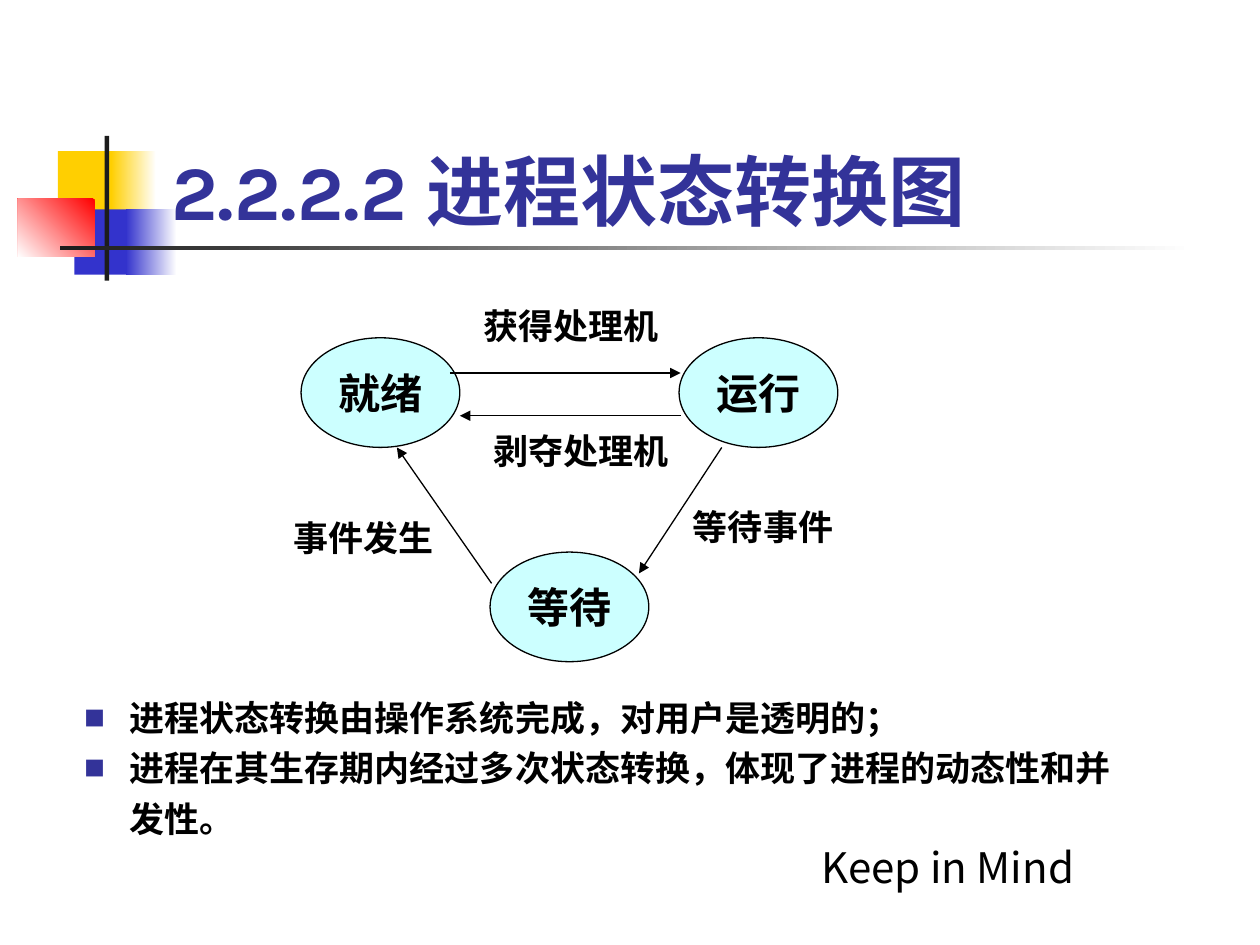
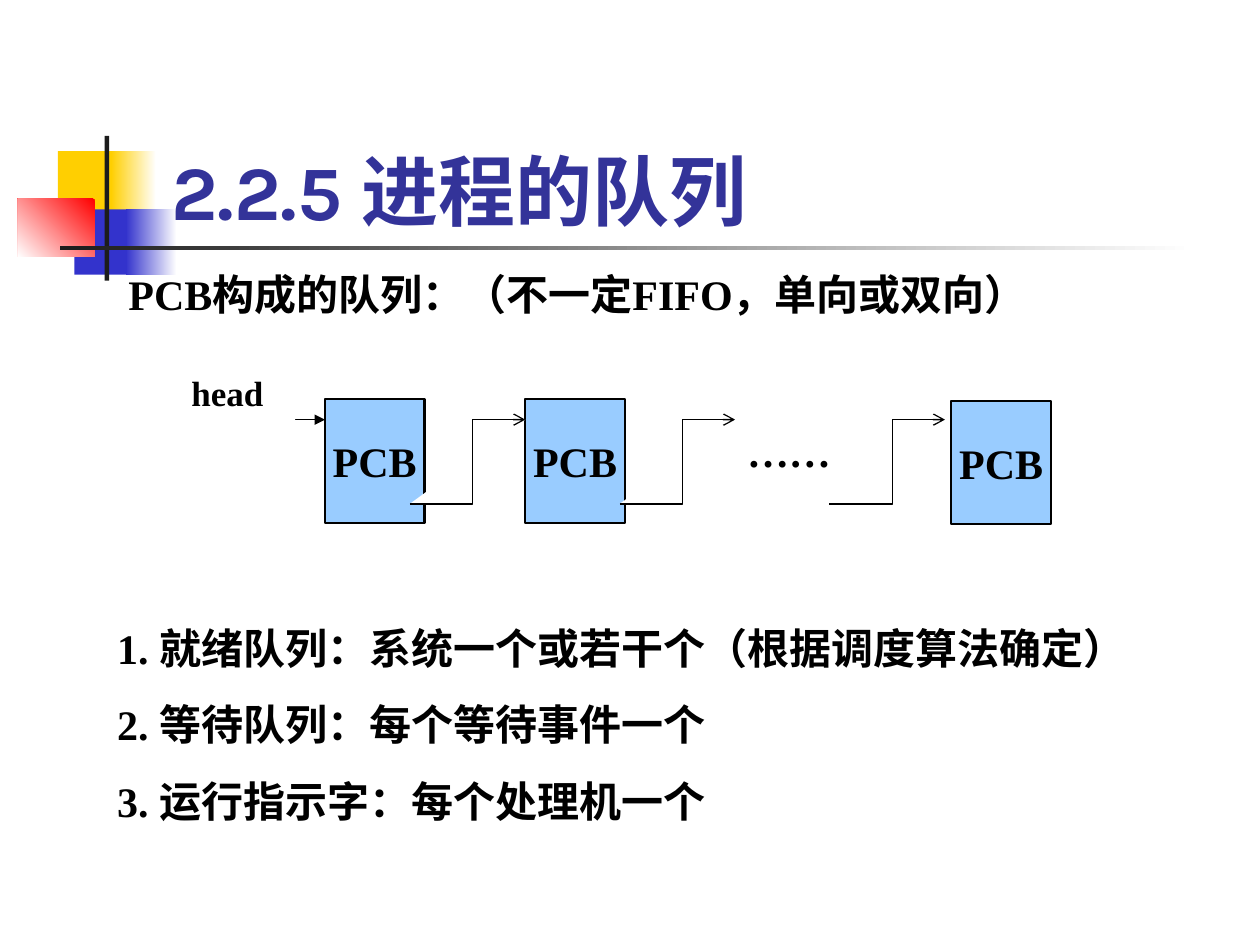
"""Build two slides on process states and process queues."""
from dataclasses import dataclass
from typing import Optional

import pptx
import pptx.dml.color
import pptx.enum.shapes
import pptx.enum.text
import pptx.oxml
import pptx.oxml.ns
import pptx.util

Cm = pptx.util.Cm
Pt = pptx.util.Pt
RGB = pptx.dml.color.RGBColor.from_string
Shape = pptx.enum.shapes.MSO_SHAPE
Align = pptx.enum.text.PP_ALIGN
Anchor = pptx.enum.text.MSO_ANCHOR
NAMESPACE = pptx.oxml.ns.nsdecls("a")


@dataclass(frozen=True)
class Theme:
    """Colours, fonts and type sizes of the deck."""
    ink: str = "000000"
    paper: str = "FFFFFF"
    title: str = "333399"
    yellow: str = "FFCF01"
    blue: str = "3333CC"
    red: str = "FF0000"
    rule: str = "1C1C1C"
    state: str = "CCFFFF"
    pcb: str = "99CCFF"
    title_font: str = "Karla"
    text_font: str = "Times New Roman"
    cjk_font: str = "Noto Sans CJK SC"
    title_size: int = 44
    body_size: int = 24
    label_size: int = 20
    thin: float = 0.75
    thick: float = 1.25


THEME = Theme()


@dataclass(frozen=True)
class Box:
    """A rectangle in centimetres."""
    left: float
    top: float
    width: float
    height: float

    def lengths(self) -> tuple:
        """Return the four sides as lengths."""
        return Cm(self.left), Cm(self.top), Cm(self.width), Cm(self.height)


@dataclass(frozen=True)
class Ornament:
    """A block of the title decoration, plain or fading."""
    box: Box
    start: str
    end: Optional[str] = None
    angle: int = 180


@dataclass(frozen=True)
class Node:
    """A filled shape with a centred caption."""
    caption: str
    box: Box


@dataclass(frozen=True)
class Arrow:
    """A straight arrow in centimetres."""
    x1: float
    y1: float
    x2: float
    y2: float


@dataclass(frozen=True)
class Label:
    """A short caption placed beside an arrow."""
    caption: str
    box: Box


ORNAMENTS = (
    Ornament(Box(1.17, 3.05, 1.22, 1.32), THEME.yellow),
    Ornament(Box(2.24, 3.05, 0.91, 1.32), THEME.paper, THEME.yellow),
    Ornament(Box(1.5, 4.22, 1.17, 1.32), THEME.blue),
    Ornament(Box(2.54, 4.22, 1.02, 1.32), THEME.paper, THEME.blue),
    Ornament(Box(0.36, 4.01, 1.55, 1.17), THEME.red, THEME.paper, 225),
    Ornament(Box(2.11, 2.74, 0.09, 2.92), THEME.rule),
    Ornament(Box(1.22, 4.95, 22.86, 0.09), THEME.paper, THEME.rule),
)
TITLE_BOX = Box(3.2, 1.7, 21.64, 3.18)

STATES = tuple(
    Node(caption, Box(6.07 + 3.81 * column, top, 3.2, 2.21))
    for column, (caption, top) in enumerate((("就绪", 6.81), ("等待", 11.13), ("运行", 6.81)))
)
TRANSITIONS = (
    Arrow(9.07, 7.52, 13.72, 7.52),
    Arrow(14.55, 9.02, 12.88, 11.56),
    Arrow(9.91, 11.76, 8, 9.02),
    Arrow(13.72, 8.38, 9.27, 8.38),
)
TRANSITION_LABELS = (
    Label("获得处理机", Box(9.5, 6.02, 4.24, 1.12)),
    Label("剥夺处理机", Box(9.7, 8.53, 4.24, 1.12)),
    Label("等待事件", Box(13.72, 10.06, 3.38, 1.12)),
    Label("事件发生", Box(5.66, 10.29, 3.38, 1.12)),
)
STATE_NOTES = (
    "进程状态转换由操作系统完成，对用户是透明的；",
    "进程在其生存期内经过多次状态转换，体现了进程的动态性和并发性。",
)

PCBS = tuple(
    Node("PCB", Box(left, top, 2.01, 2.49))
    for left, top in ((6.55, 8.05), (10.59, 8.05), (19.18, 8.08))
)
HEAD_ARROW = Arrow(4.65, 8.46, 6.55, 8.46)
LINK_LEFTS = tuple(8.26 + 4.23 * index for index in range(3))
LINK_TOP, LINK_BOTTOM, LINK_BEND, LINK_REACH = 8.46, 10.16, 1.27, 2.33
QUEUES = (
    "1. 就绪队列：系统一个或若干个（根据调度算法确定）",
    "2. 等待队列：每个等待事件一个",
    "3. 运行指示字：每个处理机一个",
)


def write_text(shape, *lines: str, size: float = THEME.body_size, font: str = THEME.text_font,
               color: str = THEME.ink, bold: bool = True, align=None, anchor=Anchor.TOP,
               wrap: bool = True, gap: float = 0, spacing: Optional[float] = None,
               bullet: bool = False, inset: Optional[float] = None) -> None:
    """Fill a shape with formatted paragraphs."""
    frame = shape.text_frame
    frame.word_wrap = wrap
    frame.vertical_anchor = anchor
    if inset is not None:
        frame.margin_left = frame.margin_right = Cm(inset)
        frame.margin_top = frame.margin_bottom = Cm(inset)
    for index, line in enumerate(lines):
        paragraph = frame.add_paragraph() if index else frame.paragraphs[0]
        if align is not None:
            paragraph.alignment = align
        if spacing:
            paragraph.line_spacing = spacing
        if index and gap:
            paragraph.space_before = Pt(gap)
        if bullet:
            add_bullet(paragraph)
        run = paragraph.add_run()
        run.text = line
        run.font.name = font
        run.font.size = Pt(size)
        run.font.bold = bold
        run.font.color.rgb = RGB(color)
        run.font._element.append(pptx.oxml.parse_xml(
            f'<a:ea {NAMESPACE} typeface="{THEME.cjk_font}"/>'))


def add_bullet(paragraph) -> None:
    """Give a paragraph a small square bullet with a hanging indent."""
    properties = paragraph._p.get_or_add_pPr()
    properties.set("marL", str(Cm(0.91)))
    properties.set("indent", str(-Cm(0.91)))
    for markup in (
        f'<a:buClr {NAMESPACE}><a:srgbClr val="{THEME.title}"/></a:buClr>',
        f'<a:buSzPct {NAMESPACE} val="60000"/>',
        f'<a:buFont {NAMESPACE} typeface="{THEME.cjk_font}"/>',
        f'<a:buChar {NAMESPACE} char="■"/>',
    ):
        properties.append(pptx.oxml.parse_xml(markup))


def add_text(slide, box: Box, *lines: str, **style) -> None:
    """Place a text box."""
    write_text(slide.shapes.add_textbox(*box.lengths()), *lines, **style)


def paint(shape, fill: str, line_width: float = 0) -> None:
    """Set a solid fill and an optional black outline."""
    shape.shadow.inherit = False
    shape.fill.solid()
    shape.fill.fore_color.rgb = RGB(fill)
    if line_width:
        shape.line.color.rgb = RGB(THEME.ink)
        shape.line.width = Pt(line_width)
    else:
        shape.line.fill.background()


def add_block(slide, kind, box: Box, fill: str, line_width: float = 0):
    """Place a painted preset shape."""
    block = slide.shapes.add_shape(kind, *box.lengths())
    paint(block, fill, line_width)
    return block


def add_node(slide, kind, node: Node, fill: str, line_width: float) -> None:
    """Draw a captioned node."""
    write_text(add_block(slide, kind, node.box, fill, line_width), node.caption,
               align=Align.CENTER, anchor=Anchor.MIDDLE, wrap=False)


def add_arrowhead(line, head: str) -> None:
    """Put an arrowhead at the end of a line."""
    line._get_or_add_ln().append(pptx.oxml.parse_xml(f'<a:tailEnd {NAMESPACE} type="{head}"/>'))


def add_arrow(slide, arrow: Arrow) -> None:
    """Draw a straight arrow."""
    connector = slide.shapes.add_connector(
        pptx.enum.shapes.MSO_CONNECTOR.STRAIGHT,
        Cm(arrow.x1), Cm(arrow.y1), Cm(arrow.x2), Cm(arrow.y2))
    connector.line.color.rgb = RGB(THEME.ink)
    connector.line.width = Pt(THEME.thin)
    add_arrowhead(connector.line, "triangle")
    connector._element.spPr.append(pptx.oxml.parse_xml(f"<a:effectLst {NAMESPACE}/>"))


def add_link(slide, left: float) -> None:
    """Draw a stepped pointer from one queue member to the next."""
    bend, end = Cm(left + LINK_BEND), Cm(left + LINK_REACH)
    outline = slide.shapes.build_freeform(Cm(left), Cm(LINK_BOTTOM))
    outline.add_line_segments(
        ((bend, Cm(LINK_BOTTOM)), (bend, Cm(LINK_TOP)), (end, Cm(LINK_TOP))), close=False)
    link = outline.convert_to_shape()
    paint(link, THEME.paper, THEME.thin)
    add_arrowhead(link.line, "arrow")


def add_titled_slide(deck, title: str):
    """Add a blank slide with the shared decoration and title."""
    slide = deck.slides.add_slide(deck.slide_layouts[6])
    for ornament in ORNAMENTS:
        block = add_block(slide, Shape.RECTANGLE, ornament.box, ornament.start)
        if ornament.end:
            block.fill.gradient()
            block.fill.gradient_angle = ornament.angle
            for stop, color in zip(block.fill.gradient_stops, (ornament.start, ornament.end)):
                stop.color.rgb = RGB(color)
    add_text(slide, TITLE_BOX, title, size=THEME.title_size, font=THEME.title_font,
             color=THEME.title, anchor=Anchor.BOTTOM)
    return slide


def build_state_slide(deck) -> None:
    """Draw the process state transitions."""
    slide = add_titled_slide(deck, "2.2.2.2 进程状态转换图")
    for state in STATES:
        add_node(slide, Shape.OVAL, state, THEME.state, THEME.thin)
    for transition in TRANSITIONS:
        add_arrow(slide, transition)
    for label in TRANSITION_LABELS:
        add_text(slide, label.box, label.caption, size=THEME.label_size)
    add_text(slide, Box(16.31, 16.84, 7.62, 1.7), "Keep in Mind",
             font=THEME.cjk_font, bold=False, wrap=False)
    add_text(slide, Box(1.7, 13.87, 20.9, 3.05), *STATE_NOTES, size=THEME.label_size,
             font=THEME.cjk_font, spacing=1.2, bullet=True, inset=0)


def build_queue_slide(deck) -> None:
    """Draw the linked queue of control blocks."""
    slide = add_titled_slide(deck, "2.2.5 进程的队列")
    for pcb in PCBS:
        add_node(slide, Shape.RECTANGLE, pcb, THEME.pcb, THEME.thick)
    add_arrow(slide, HEAD_ARROW)
    for left in LINK_LEFTS:
        add_link(slide, left)
    for caption, box, size in (
        ("……", Box(14.81, 8.46, 2.74, 1.27), THEME.body_size),
        ("head", Box(3.61, 7.37, 2.34, 1.12), THEME.label_size),
    ):
        write_text(add_block(slide, Shape.RECTANGLE, box, THEME.paper), caption,
                   size=size, align=Align.LEFT)
    add_text(slide, Box(2.11, 12.42, 20.96, 5.38), *QUEUES, gap=15)
    add_text(slide, Box(2.34, 5.28, 19.79, 1.27), "PCB构成的队列：（不一定FIFO，单向或双向）")


def main() -> None:
    """Build and save the deck."""
    deck = pptx.Presentation()
    deck.slide_width, deck.slide_height = Cm(25.4), Cm(19.05)
    build_state_slide(deck)
    build_queue_slide(deck)
    deck.save("out.pptx")


if __name__ == "__main__":
    main()
